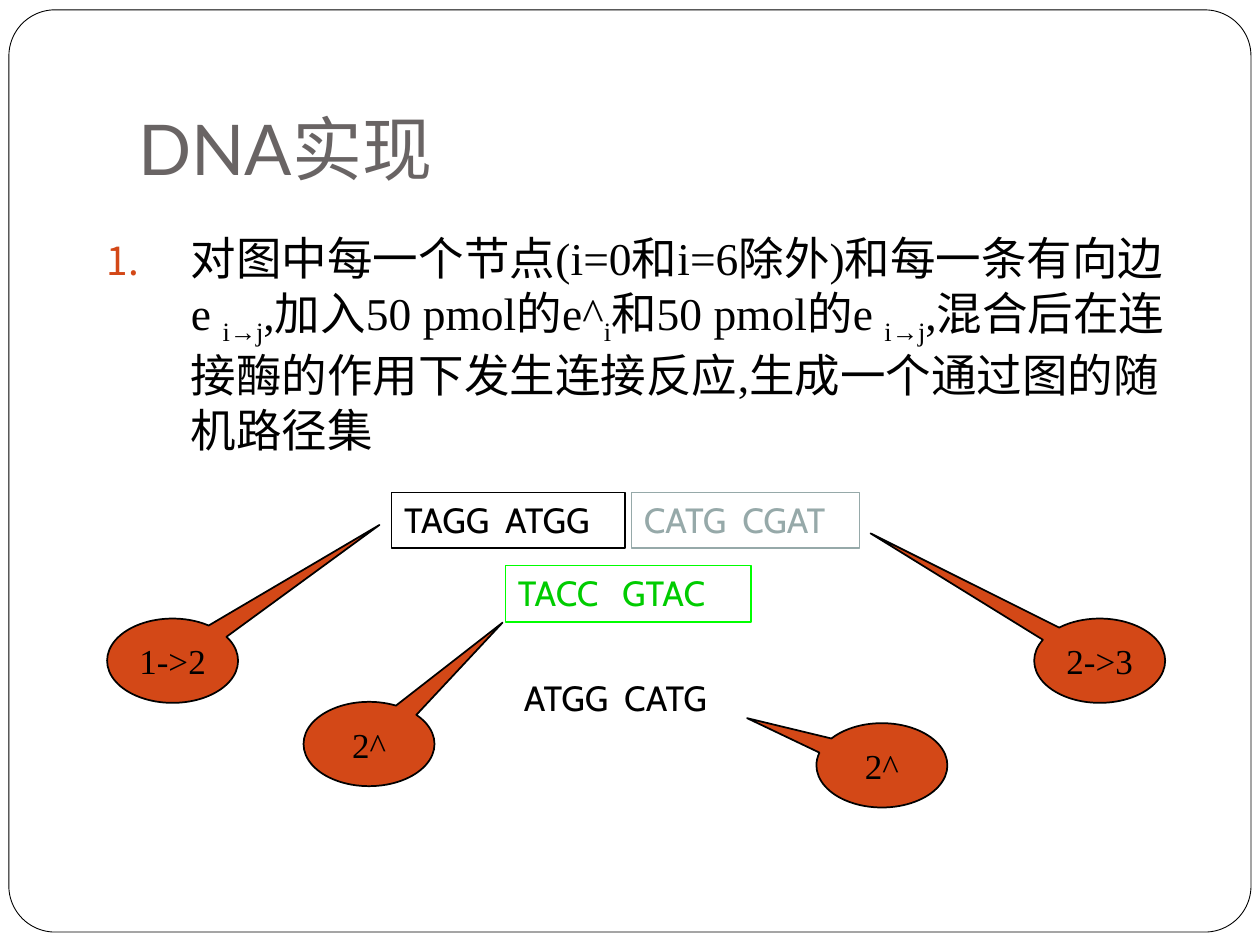
from collections import namedtuple
from dataclasses import dataclass

from lxml import etree
from pptx import Presentation
from pptx.dml.color import RGBColor
from pptx.enum.shapes import MSO_SHAPE
from pptx.enum.text import MSO_ANCHOR, PP_ALIGN
from pptx.oxml.ns import qn
from pptx.util import Cm, Pt

ROUNDED = MSO_SHAPE.ROUNDED_RECTANGLE
RECTANGLE = MSO_SHAPE.RECTANGLE
CALLOUT = MSO_SHAPE.OVAL_CALLOUT
TOP, MIDDLE, BOTTOM = MSO_ANCHOR.TOP, MSO_ANCHOR.MIDDLE, MSO_ANCHOR.BOTTOM
CENTER, LEFT = PP_ALIGN.CENTER, PP_ALIGN.LEFT

Box = namedtuple("Box", "left top width height")


@dataclass(frozen=True)
class Theme:
    white: str = "FFFFFF"
    black: str = "000000"
    grey: str = "696464"
    accent: str = "D34817"
    pale: str = "96A9A9"
    green: str = "00CC00"
    bright_green: str = "00FF00"
    title_font: str = "Lato"
    body_font: str = "Times New Roman"
    strand_font: str = "Cabin"
    title_size: int = 40
    body_size: int = 26
    label_size: int = 20


THEME = Theme()

# Text of the step: (wording, is subscript)
STEP = [
    ("对图中每一个节点(i=0和i=6除外)和每一条有向边 e ", False),
    ("i→j", True),
    (",加入50 pmol的e^", False),
    ("i", True),
    ("和50 pmol的e ", False),
    ("i→j", True),
    (",混合后在连接酶的作用下发生连接反应,生成一个通过图的随机路径集", False),
]

# Strands: text, box within the diagram, text colour, line colour, line width
STRANDS = [
    ("TAGG  ATGG", Box(5.74, 0, 4.7, 1.12), THEME.black, THEME.black, 0.75),
    ("CATG  CGAT", Box(10.57, 0, 4.6, 1.12), THEME.pale, THEME.pale, 0.75),
    ("ATGG  CATG", Box(8.15, 3.58, 4.83, 1.09), THEME.black, None, 0),
    ("TACC   GTAC", Box(8.03, 1.47, 4.95, 1.14), THEME.green, THEME.bright_green, 1),
]

# Callouts: text, left and top within the diagram, pointer offsets
CALLOUT_WIDTH, CALLOUT_HEIGHT = 2.64, 1.7
CALLOUTS = [
    ("1->2", 0, 2.54, (1.58, -1.61)),
    ("2->3", 18.69, 2.54, (-1.75, -1.51)),
    ("2^", 3.96, 4.22, (1.02, -1.44)),
    ("2^", 14.3, 4.65, (-1.03, -0.56)),
]


def place(box):
    return [Cm(length) for length in box]


def style(font, name, size, colour):
    font.name = name
    font.size = Pt(size)
    font.color.rgb = RGBColor.from_string(colour)


def add_panel(page, kind, box, fill=None, line=None, line_width=0.0):
    panel = page.shapes.add_shape(kind, *place(box))
    panel.shadow.inherit = False
    if fill:
        panel.fill.solid()
        panel.fill.fore_color.rgb = RGBColor.from_string(fill)
    else:
        panel.fill.background()
    if line:
        panel.line.color.rgb = RGBColor.from_string(line)
        panel.line.width = Pt(line_width)
    else:
        panel.line.fill.background()
    return panel


def write(shape, text, font, size, colour, anchor=TOP, align=LEFT):
    frame = shape.text_frame
    frame.word_wrap = True
    frame.vertical_anchor = anchor
    frame.text = text
    para = frame.paragraphs[0]
    para.alignment = align
    style(para.runs[0].font, font, size, colour)


def number_paragraph(para, indent):
    properties = para._p.get_or_add_pPr()
    properties.set("marL", str(indent))
    properties.set("indent", str(-indent))
    colour = etree.SubElement(properties, qn("a:buClr"))
    etree.SubElement(colour, qn("a:srgbClr"), val=THEME.accent)
    etree.SubElement(properties, qn("a:buSzPct"), val="85000")
    etree.SubElement(properties, qn("a:buFont"), typeface=THEME.title_font)
    etree.SubElement(properties, qn("a:buAutoNum"), type="arabicPeriod")


def add_frame(page, box):
    panel = add_panel(page, ROUNDED, box, THEME.white, THEME.black, 0.5)
    panel.adjustments[0] = 0.05


def add_title(page, box):
    title = page.shapes.add_textbox(*place(box))
    write(title, "DNA实现", THEME.title_font, THEME.title_size, THEME.grey, BOTTOM)


def add_step(page, box):
    frame = page.shapes.add_textbox(*place(box)).text_frame
    frame.word_wrap = True
    para = frame.paragraphs[0]
    number_paragraph(para, Cm(1.7))
    for text, subscript in STEP:
        span = para.add_run()
        span.text = text
        style(span.font, THEME.body_font, THEME.body_size, THEME.black)
        if subscript:
            span._r.get_or_add_rPr().set("baseline", "-25000")


def add_diagram(page, left, top):
    # DNA strands
    for text, box, colour, line, line_width in STRANDS:
        spot = box._replace(left=left + box.left, top=top + box.top)
        strand = add_panel(page, RECTANGLE, spot, None, line, line_width)
        write(strand, text, THEME.strand_font, THEME.label_size, colour)

    # Callouts naming the edges and nodes
    for text, across, down, pointer in CALLOUTS:
        spot = Box(left + across, top + down, CALLOUT_WIDTH, CALLOUT_HEIGHT)
        callout = add_panel(page, CALLOUT, spot, THEME.accent, THEME.black, 1)
        callout.adjustments[0], callout.adjustments[1] = pointer
        write(callout, text, THEME.body_font, THEME.label_size, THEME.black,
              MIDDLE, CENTER)


def main():
    deck = Presentation()
    deck.slide_width, deck.slide_height = Cm(25.4), Cm(19.05)
    page = deck.slides.add_slide(deck.slide_layouts[6])
    add_frame(page, Box(0.18, 0.2, 25.04, 18.59))
    add_title(page, Box(2.54, 0.76, 21.59, 3.18))
    add_step(page, Box(1.9, 4.52, 22.23, 5.36))
    add_diagram(page, 2.16, 9.93)
    deck.save("out.pptx")


if __name__ == "__main__":
    main()
